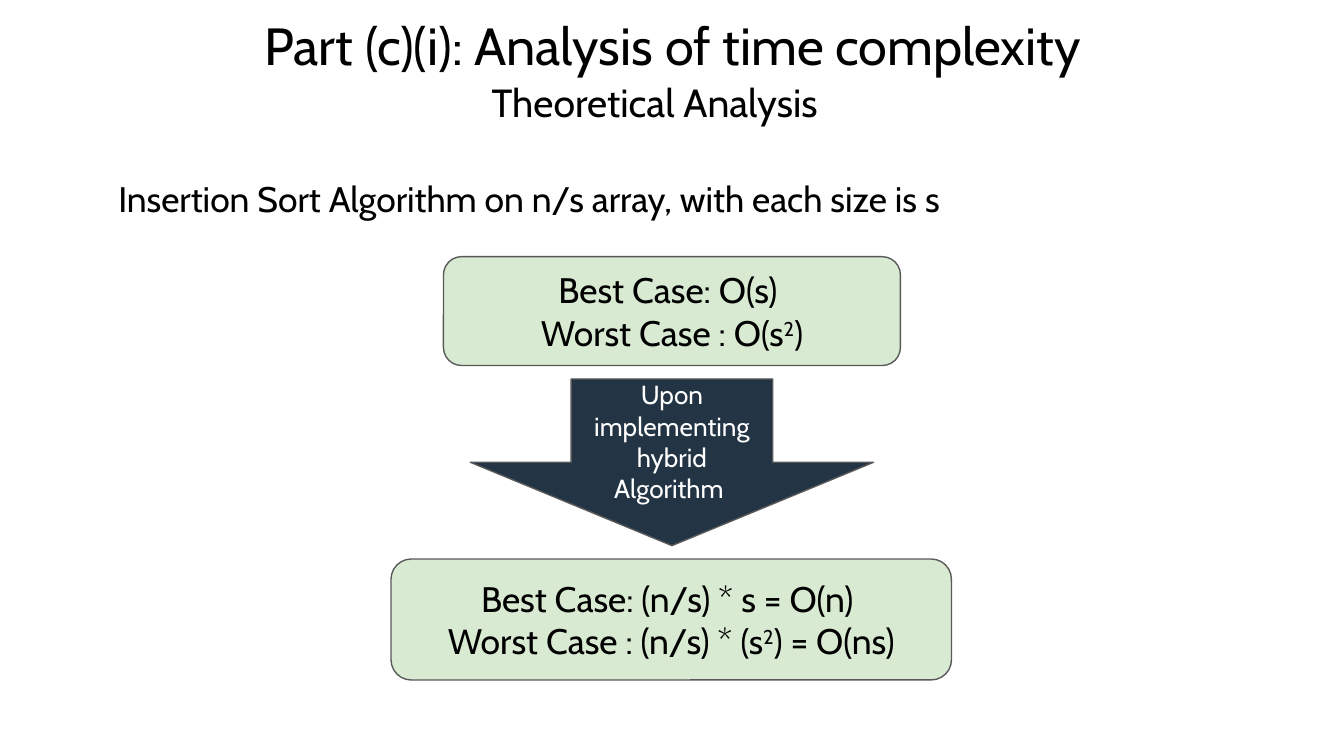
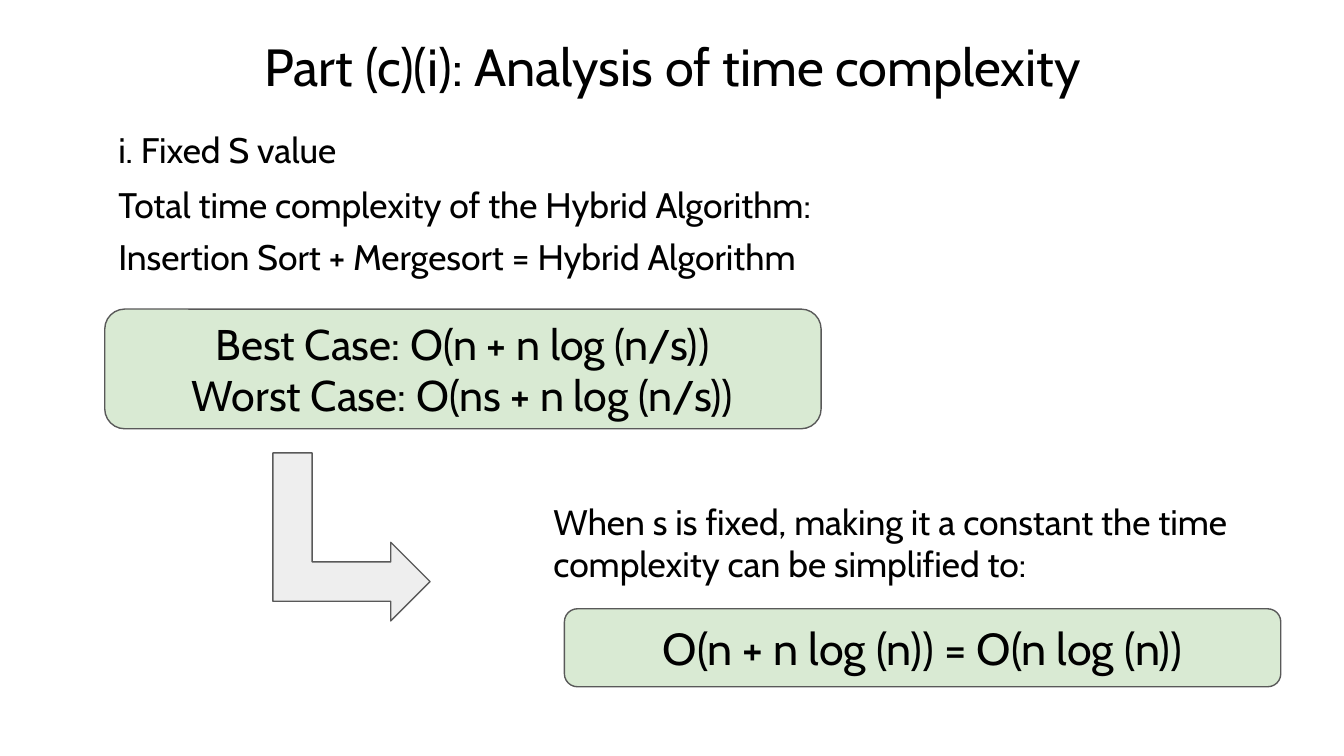
from pptx import Presentation
from pptx.dml.color import RGBColor
from pptx.enum import shapes, text
from pptx.util import Inches, Pt
from lxml import etree

FONT = "Cabin"
BLACK, WHITE = "000000", "FFFFFF"
GREEN, NAVY, GREY, OUTLINE = "D9EAD3", "233544", "EEEEEE", "595959"
TITLE = "Part (c)(i): Analysis of time complexity"
DRAWING = "{http://schemas.openxmlformats.org/drawingml/2006/main}"
MARGIN = 0.78
CENTER, LEFT = text.PP_ALIGN.CENTER, text.PP_ALIGN.LEFT
TOP, MIDDLE = text.MSO_ANCHOR.TOP, text.MSO_ANCHOR.MIDDLE


def color(value):
    return RGBColor.from_string(value)


def place(box, area):
    box.left, box.top, box.width, box.height = (Inches(n) for n in area)


def write(box, lines, size, ink=BLACK, align=LEFT, anchor=TOP, gaps=()):
    """Each line is a string, or a list of (text, size, raised) spans."""
    frame = box.text_frame
    frame.word_wrap = True
    frame.auto_size = text.MSO_AUTO_SIZE.NONE
    frame.vertical_anchor = anchor
    frame.margin_left = frame.margin_right = Inches(0.1)
    frame.margin_top = frame.margin_bottom = Inches(0.1)
    for index, line in enumerate(lines):
        para = frame.add_paragraph() if index else frame.paragraphs[0]
        para.alignment = align
        para.space_before = Pt(gaps[index] if gaps else 0)
        spans = [(line, size, False)] if isinstance(line, str) else line
        for words, points, raised in spans:
            span = para.add_run()
            span.text = words
            span.font.name = FONT
            span.font.size = Pt(points)
            span.font.color.rgb = color(ink)
            if raised:
                span.font._element.set("baseline", "30000")


def add_title(page, top):
    place(page.shapes.title, (MARGIN, top, 8.45, 0.53))
    write(page.shapes.title, [TITLE], 28, align=CENTER, anchor=MIDDLE)


def add_body(page, area, lines, gaps=()):
    """Fill the body placeholder with plain, unbulleted lines."""
    body = page.placeholders[1]
    place(body, area)
    write(body, lines, 19, gaps=gaps)
    for para in body.text_frame.paragraphs:
        props = para._p.get_or_add_pPr()
        props.set("marL", "0")
        props.set("indent", "0")
        etree.SubElement(props, DRAWING + "buNone")


def add_note(page, area, words, size):
    note = page.shapes.add_textbox(*(Inches(n) for n in area))
    write(note, [words], size)


def add_block(page, kind, area, fill):
    block = page.shapes.add_shape(kind, *(Inches(n) for n in area))
    block.shadow.inherit = False
    block.fill.solid()
    block.fill.fore_color.rgb = color(fill)
    block.line.color.rgb = color(OUTLINE)
    block.line.width = Pt(0.75)
    return block


def add_result(page, area, lines, size):
    """Green rounded box that holds complexity formulas."""
    result = add_block(page, shapes.MSO_SHAPE.ROUNDED_RECTANGLE, area, GREEN)
    write(result, lines, size, align=CENTER, anchor=MIDDLE)


def squared_s():
    return [("(s", 18.5, False), ("2", 18.5, True), (")", 18.5, False)]


def insertion_sort_slide(page):
    add_title(page, 0.07)
    add_note(page, (3.56, 0.48, 5.67, 0.58), "Theoretical Analysis", 21)
    add_body(page, (MARGIN, 1.22, 6.89, 0.52),
             ["Insertion Sort Algorithm on n/s array, with each size is s"])

    # Costs before and after the hybrid step
    add_result(page, (3.3, 1.91, 3.4, 0.81), [
        "Best Case: O(s) ",
        [("Worst Case : O", 19, False)] + squared_s()], 19)
    add_result(page, (2.91, 4.16, 4.17, 0.9), [
        "Best Case: (n/s) * s = O(n) ",
        [("Worst Case : (n/s) * ", 19, False)] + squared_s()
        + [(" = O(ns)", 19, False)]], 19)
    step = add_block(page, shapes.MSO_SHAPE.DOWN_ARROW,
                     (3.5, 2.82, 3, 1.24), NAVY)
    write(step, ["Upon implementing hybrid Algorithm "], 14, WHITE,
          CENTER, MIDDLE)


def fixed_s_slide(page):
    add_title(page, 0.22)
    add_body(page, (MARGIN, 0.85, 6.88, 1.35), [
        "i. Fixed S value",
        "Total time complexity of the Hybrid Algorithm:",
        "Insertion Sort + Mergesort = Hybrid Algorithm"], gaps=(0, 7, 5))
    add_result(page, (MARGIN, 2.3, 5.33, 0.89), [
        "Best Case: O(n + n log (n/s))",
        "Worst Case: O(ns + n log (n/s))"], 23)

    # Simplification for a constant s
    turn = add_block(page, shapes.MSO_SHAPE.BENT_UP_ARROW,
                     (1.99, 3.41, 1.25, 1.17), GREY)
    turn.rotation = 90
    add_note(page, (4.02, 3.62, 5.67, 0.84),
             "When s is fixed, making it a constant the time complexity "
             "can be simplified to:", 19)
    add_result(page, (4.2, 4.53, 5.33, 0.58),
               ["O(n + n log (n)) = O(n log (n))"], 24)


def main():
    deck = Presentation()
    # Widescreen, 16:9
    deck.slide_width = Inches(10)
    deck.slide_height = deck.slide_width * 9 // 16
    for build in (insertion_sort_slide, fixed_s_slide):
        build(deck.slides.add_slide(deck.slide_layouts[1]))
    deck.save("out.pptx")


if __name__ == "__main__":
    main()
